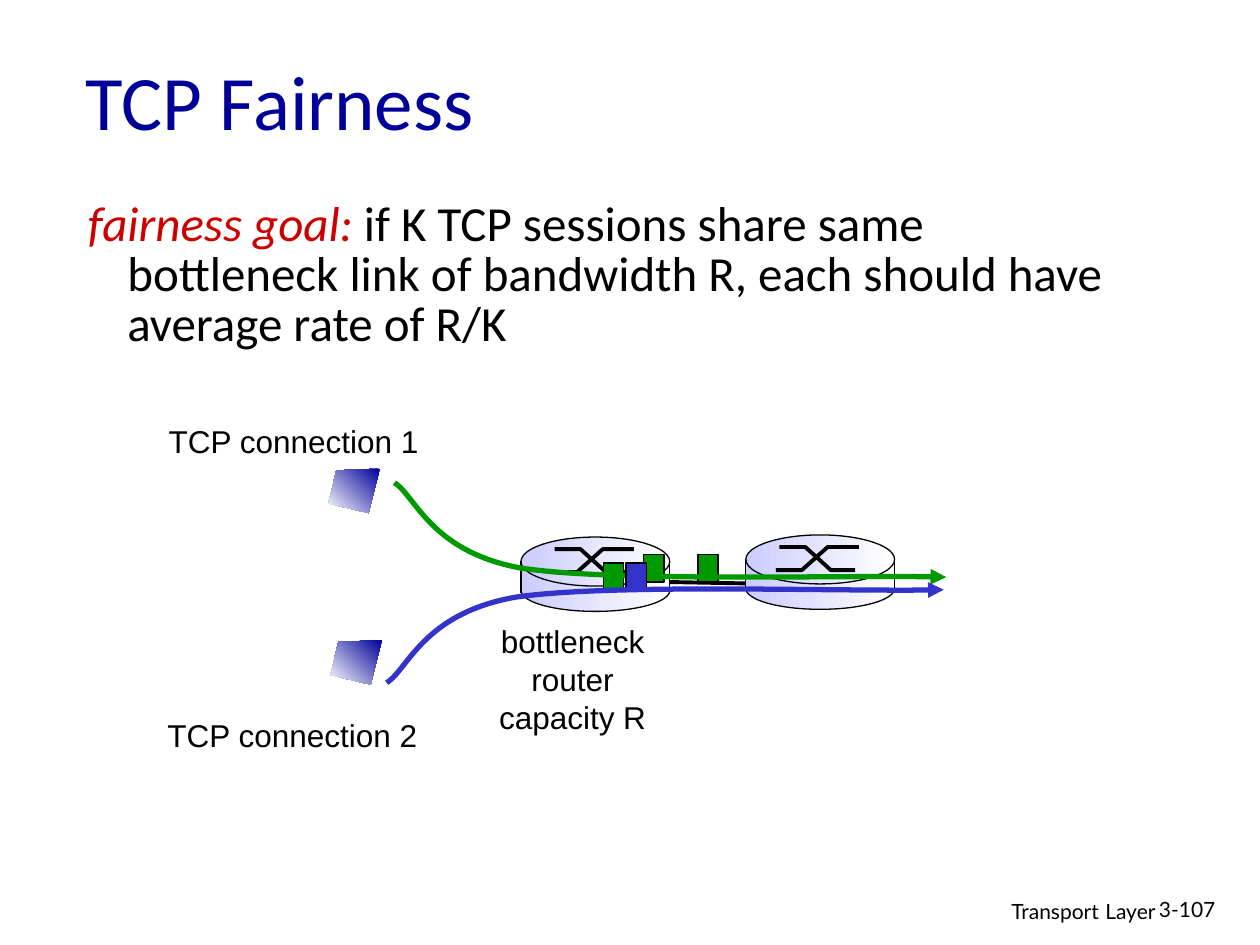
from lxml import etree
from pptx import Presentation
from pptx.dml.color import RGBColor
from pptx.enum import shapes, text
from pptx.oxml.ns import qn
from pptx.util import Pt

COLORS = {"black": "000000", "title": "000099", "goal": "CC0000", "green": "009900",
          "blue": "3333CC", "lilac": "CCCCFF", "white": "FFFFFF"}
ALIGN = text.PP_ALIGN


def rgb(name):
    return RGBColor.from_string(COLORS[name])


def set_all(target, values):
    for name, value in values.items():
        setattr(target, name, value)


class Sketch:
    """Holds the text styles, the slide and the shape collection being drawn into."""

    label = {"name": "Arial", "size": Pt(18)}
    footer = {"name": "Lato", "size": Pt(12)}
    heading = {"name": "Calibri", "size": Pt(44)}
    body = {"name": "Calibri", "size": Pt(28)}

    def __init__(self, slide):
        self.slide = slide
        self.shapes = slide.shapes

    def add_words(self, paragraph, content, style, color="black", **extra):
        run = paragraph.add_run()
        run.text = content
        set_all(run.font, {**style, **extra})
        run.font.color.rgb = rgb(color)

    def title(self, content, box):
        title = self.slide.shapes.title
        set_all(title, dict(zip(("left", "top", "width", "height"), map(Pt, box))))
        title.text_frame.vertical_anchor = text.MSO_ANCHOR.MIDDLE
        paragraph = title.text_frame.paragraphs[0]
        paragraph.alignment = ALIGN.LEFT
        self.add_words(paragraph, content, self.heading, "title")

    def text_frame(self, box, **frame_values):
        frame = self.shapes.add_textbox(*map(Pt, box)).text_frame
        set_all(frame, {"word_wrap": True, **frame_values})
        return frame

    def caption(self, lines, box, align=ALIGN.LEFT):
        frame = self.text_frame(box, word_wrap=False,
                                auto_size=text.MSO_AUTO_SIZE.SHAPE_TO_FIT_TEXT)
        for number, line in enumerate(lines):
            paragraph = frame.add_paragraph() if number else frame.paragraphs[0]
            paragraph.alignment = align
            self.add_words(paragraph, line, self.label)

    def paint(self, shape, fill=None, line=None, width=0.75, angle=0):
        """Fill with a colour name, a pair of names for a gradient, or nothing."""
        shape.shadow.inherit = False
        if fill is None:
            shape.fill.background()
        elif isinstance(fill, tuple):
            shape.fill.gradient()
            shape.fill.gradient_angle = angle
            for stop, color in zip(shape.fill.gradient_stops, fill):
                stop.color.rgb = rgb(color)
        else:
            shape.fill.solid()
            shape.fill.fore_color.rgb = rgb(fill)
        if line:
            shape.line.color.rgb = rgb(line)
            shape.line.width = Pt(width)
        else:
            shape.line.fill.background()

    def preset(self, kind, box, **paint):
        self.paint(self.shapes.add_shape(kind, *map(Pt, box)), **paint)

    def line(self, start, end, width=0.75):
        connector = self.shapes.add_connector(
            shapes.MSO_CONNECTOR.STRAIGHT, *map(Pt, start + end))
        connector.line.color.rgb = rgb("black")
        connector.line.width = Pt(width)
        etree.SubElement(connector._element.spPr, qn("a:effectLst"))

    def outline(self, points, close=False, **paint):
        start, *rest = [(Pt(x), Pt(y)) for x, y in points]
        builder = self.shapes.build_freeform(*start)
        builder.add_line_segments(rest, close=close)
        shape = builder.convert_to_shape()
        self.paint(shape, **paint)
        return shape

    def flow(self, points, color):
        """Curved arrow: a start point, then three Bezier points per segment."""
        shape = self.outline(points, line=color, width=3)
        track = next(shape._element.iter(qn("a:path")))
        steps = track.findall(qn("a:lnTo"))
        for first in range(0, len(steps), 3):
            curve = etree.SubElement(track, qn("a:cubicBezTo"))
            for step in steps[first:first + 3]:
                curve.append(step[0])
                track.remove(step)
        outline = shape._element.spPr.find(qn("a:ln"))
        etree.SubElement(outline, qn("a:tailEnd"), type="triangle")

    def packet(self, x, y, color):
        self.preset(shapes.MSO_SHAPE.RECTANGLE, (x, y, 11.5, 15.8), fill=color, line="black")

    def router(self, x, y):
        self.shapes = self.slide.shapes.add_group_shape().shapes
        sheen = ("lilac", "white")
        oval = shapes.MSO_SHAPE.OVAL
        self.preset(oval, (x, y + 18.7, 85, 23.8), fill=sheen, line="black")
        self.preset(shapes.MSO_SHAPE.RECTANGLE, (x, y + 16.6, 85, 14.4), fill=sheen)
        self.preset(oval, (x, y, 85, 28), fill=sheen, line="black")
        high, low = y + 6.9, y + 20.1
        for first, second, steps in ((low, high, (17.2, 32, 46.8, 64.6)),
                                     (high, low, (19.2, 34, 48.6, 62.5))):
            self.outline(list(zip((x + step for step in steps),
                                  (first, first, second, second))),
                         line="black", width=2.25)
        for side in (x, x + 85):
            self.line((side, y + 13.7), (side, y + 32))
        self.shapes = self.slide.shapes

    def host(self, x, y):
        corners = ((29.5, 0), (4.6, 1), (0, 20), (23, 25.4))
        self.outline([(x + dx, y + dy) for dx, dy in corners], close=True,
                     fill=("title", "white"), angle=225)


def main():
    deck = Presentation()
    deck.slide_width, deck.slide_height = Pt(720), Pt(540)
    sketch = Sketch(deck.slides.add_slide(deck.slide_layouts[5]))

    sketch.title("TCP Fairness", (41.8, 12.2, 612, 90))

    chapter = sketch.text_frame((439.2, 507.6, 228.2, 22.3)).paragraphs[0]
    chapter.alignment = ALIGN.RIGHT
    sketch.add_words(chapter, "Transport", sketch.footer)
    sketch.add_words(chapter, " ", sketch.footer, size=Pt(14))
    sketch.add_words(chapter, "Layer", sketch.footer)
    page = sketch.text_frame((655.2, 509, 53.3, 21.6)).paragraphs[0]
    sketch.add_words(page, "3-107", sketch.footer)

    goal = sketch.text_frame((43.2, 111.6, 599.8, 172.8)).paragraphs[0]
    hanging = goal._p.get_or_add_pPr()
    hanging.set("marL", str(Pt(22.5)))
    hanging.set("indent", str(-Pt(22.5)))
    goal.line_spacing = 0.85
    sketch.add_words(goal, "fairness goal:", sketch.body, "goal", italic=True)
    sketch.add_words(goal, " if K TCP sessions share same bottleneck link of bandwidth R, "
                     "each should have average rate of R/K", sketch.body)

    sketch.line((382.3, 332.6), (426.2, 333.4), 2.25)
    sketch.router(297.7, 306.9)
    sketch.router(426.2, 305.7)

    for x, y in ((398.9, 316.8), (344.9, 321.8), (367.9, 316.8)):
        sketch.packet(x, y, "green")
    sketch.flow([(225.4, 275.8), (237.6, 283.7), (246.2, 315.4), (298.1, 324.7),
                 (350.6, 332.6), (490.3, 328.3), (540.7, 329.8)], "green")
    sketch.packet(357.8, 321.8, "blue")
    sketch.flow([(221, 390.2), (233.3, 382.3), (241.9, 350.6), (294.5, 341.3),
                 (347.8, 333.4), (488.9, 338.4), (539.3, 337)], "blue")

    sketch.caption(["TCP connection 1"], (89.3, 237.6, 157.7, 28.8))
    sketch.caption(["TCP connection 2"], (88.6, 405.4, 157.7, 28.8))
    sketch.caption(["bottleneck", "router", "capacity R"], (277.9, 352.1, 98.6, 72),
                   ALIGN.CENTER)
    sketch.host(187.6, 267.8)
    sketch.host(188.8, 365.8)

    deck.save("out.pptx")


if __name__ == "__main__":
    main()
